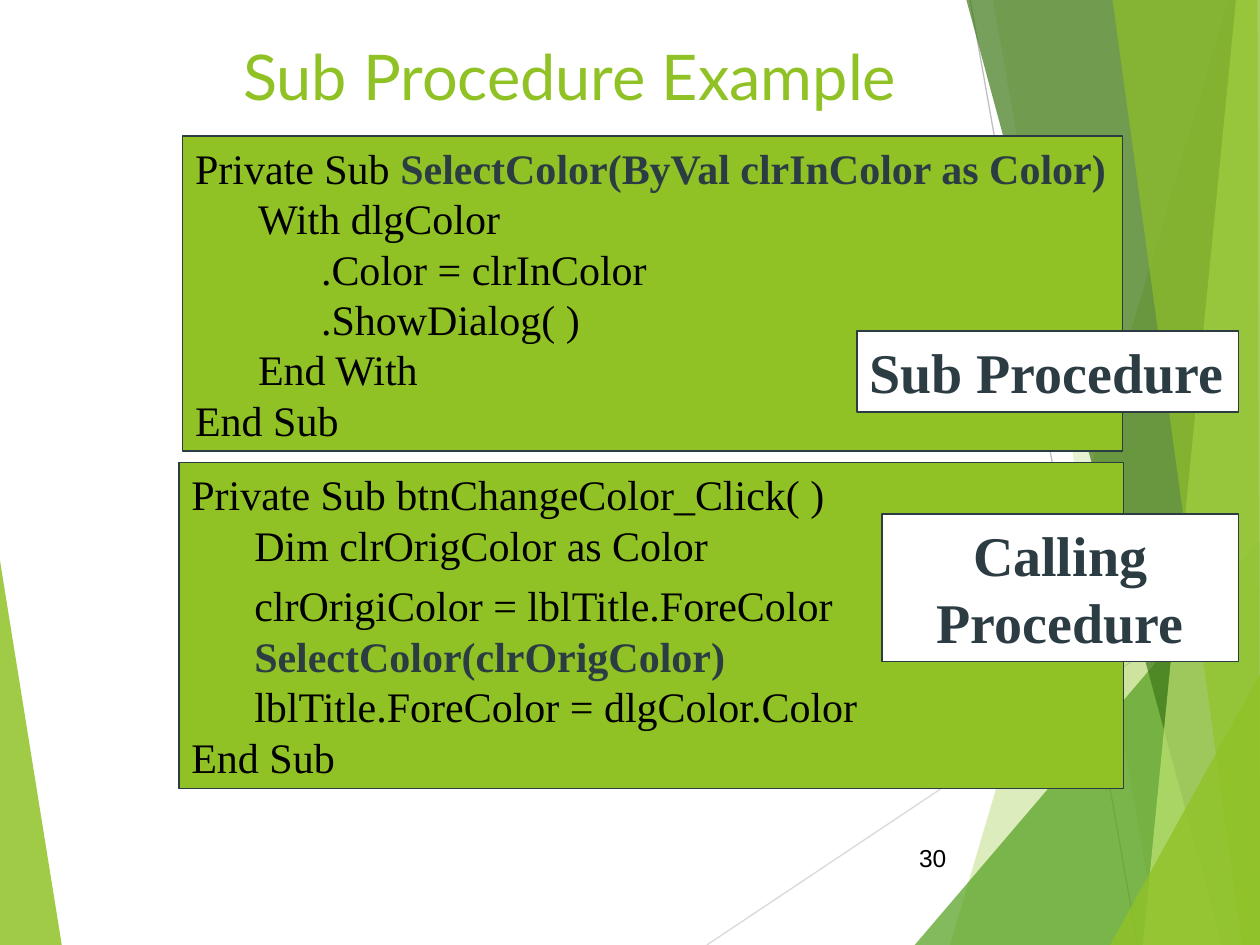
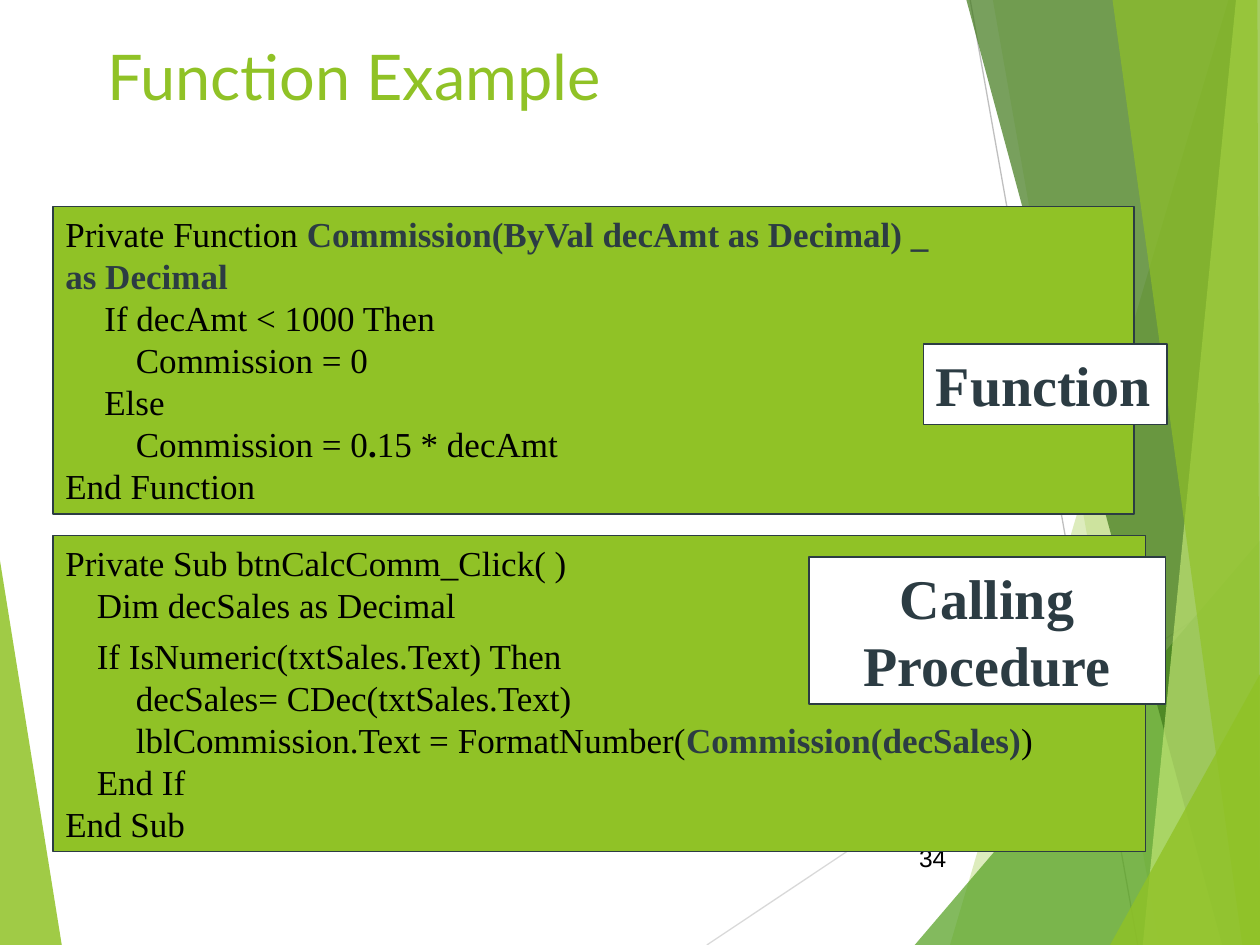
from lxml.etree import SubElement
from pptx import Presentation
from pptx.dml.color import RGBColor
from pptx.enum.shapes import MSO_CONNECTOR, MSO_SHAPE
from pptx.enum.text import MSO_ANCHOR, MSO_AUTO_SIZE, PP_ALIGN
from pptx.oxml.ns import qn
from pptx.util import Inches, Pt

GREEN, DARK, BLACK, WHITE = "90C226", "2C3C43", "000000", "FFFFFF"
TITLE_FONT, CODE_FONT, NUMBER_FONT = "Lato", "Times New Roman", "Arial"
SLIDE_WIDTH, SLIDE_HEIGHT = 10, 7.5
CALLING_SIZE = (2.83, 1.17)

# Background lines: start, end, colour
GUIDE_LINES = [
    ((5.61, 7.5), (10, 4.57), "D9D9D9"),
    ((7.7, 0), (9.03, 7.5), "BFBFBF"),
]
# Background facets: outline, colour, opacity in percent
LEFT_FACET = ([(0, 4.45), (0.49, 7.5), (0, 7.5)], GREEN, 85)
RIGHT_FACETS = [
    ([(9.75, 0), (7.54, 7.5), (10, 7.5), (10, 0)], GREEN, 30),
    ([(7.88, 0), (9.2, 7.5), (10, 7.5), (10, 0)], GREEN, 20),
    ([(7.26, 7.5), (10, 4.29), (10, 7.5)], "54A021", 72),
    ([(7.67, 0), (9.7, 7.5), (10, 7.5), (10, 0)], "3F7819", 70),
    ([(9.81, 0), (9.07, 7.5), (10, 7.5), (10, 0)], "C0E474", 70),
    ([(8.83, 0), (9.86, 7.5), (10, 7.5), (9.98, 0)], GREEN, 65),
    ([(8.81, 7.5), (10, 5.35), (10, 7.5)], GREEN, 80),
]


def colour(hex_value):
    return RGBColor.from_string(hex_value)


def inches(values):
    return [Inches(value) for value in values]


def set_tabs(paragraph, stops):
    tab_list = SubElement(paragraph._p.get_or_add_pPr(), qn("a:tabLst"))
    for stop in stops:
        SubElement(tab_list, qn("a:tab"), pos=str(Inches(stop)), algn="l")


def write_text(shape, lines, font, size, color=BLACK, bold=False, align=PP_ALIGN.LEFT,
               anchor=MSO_ANCHOR.TOP, wrap=True, fit=MSO_AUTO_SIZE.NONE, tabs=(), gaps=None):
    """Fill a shape; a line is a string or a list of strings and bold (text, colour) pairs.

    gaps maps a line index to the points of space after it.
    """
    frame = shape.text_frame
    frame.word_wrap, frame.auto_size, frame.vertical_anchor = wrap, fit, anchor
    for index, line in enumerate(lines):
        paragraph = frame.paragraphs[0] if index == 0 else frame.add_paragraph()
        paragraph.alignment = align
        if gaps and index in gaps:
            paragraph.space_after = Pt(gaps[index])
        if tabs:
            set_tabs(paragraph, tabs)
        for part in [line] if isinstance(line, str) else line:
            text, run_color, run_bold = (part, color, bold) if isinstance(part, str) else (*part, True)
            run = paragraph.add_run()
            run.text = text
            run.font.name, run.font.size, run.font.bold = font, Pt(size), run_bold
            run.font.color.rgb = colour(run_color)


def add_facet(slide, points, fill, opacity):
    corners = [inches(point) for point in points]
    builder = slide.shapes.build_freeform(*corners[0], scale=1.0)
    builder.add_line_segments(corners[1:], close=True)
    facet = builder.convert_to_shape()
    facet.shadow.inherit = False
    facet.fill.solid()
    facet.fill.fore_color.rgb = colour(fill)
    facet.line.fill.background()
    fill_color = facet.element.spPr.find(qn("a:solidFill"))[0]
    SubElement(fill_color, qn("a:alpha"), val=str(opacity * 1000))
    return facet


def add_guide_line(slide, start, end, color):
    line = slide.shapes.add_connector(MSO_CONNECTOR.STRAIGHT, *inches(start + end))
    line.line.color.rgb = colour(color)
    line.line.width = Pt(0.75)
    SubElement(line.element.spPr, qn("a:effectLst"))
    return line


def add_background(slide):
    """Draw the facets and move them to the layout that the slides share."""
    parts = [add_facet(slide, *LEFT_FACET)]
    parts += [add_guide_line(slide, *guide) for guide in GUIDE_LINES]
    parts += [add_facet(slide, *facet) for facet in RIGHT_FACETS]
    for number, part in enumerate(parts, start=100):
        part.element.xpath(".//p:cNvPr")[0].set("id", str(number))
        slide.slide_layout.shapes.element.append(part.element)


def add_title(slide, text, box):
    title = slide.shapes.title
    title.left, title.top, title.width, title.height = inches(box)
    write_text(title, [text], TITLE_FONT, 36, color=GREEN)


def add_page_number(slide, number):
    box = slide.shapes.add_textbox(*inches((7.05, 6.61, 0.56, 0.4)))
    write_text(box, [str(number)], NUMBER_FONT, 14, align=PP_ALIGN.RIGHT, anchor=MSO_ANCHOR.MIDDLE)


def add_panel(slide, box, fill, line_width):
    panel = slide.shapes.add_shape(MSO_SHAPE.RECTANGLE, *inches(box))
    panel.shadow.inherit = False
    panel.fill.solid()
    panel.fill.fore_color.rgb = colour(fill)
    panel.line.color.rgb = colour(DARK)
    panel.line.width = Pt(line_width)
    return panel


def add_code(slide, box, lines, size, tabs, wrap=True, gaps=None):
    write_text(add_panel(slide, box, GREEN, 0.75), lines, CODE_FONT, size, wrap=wrap,
               fit=MSO_AUTO_SIZE.SHAPE_TO_FIT_TEXT, tabs=tabs, gaps=gaps)


def add_label(slide, box, lines, **text_format):
    write_text(add_panel(slide, box, WHITE, 1), lines, CODE_FONT, 32, color=DARK, bold=True,
               fit=MSO_AUTO_SIZE.SHAPE_TO_FIT_TEXT, **text_format)


def add_calling_label(slide, left, top):
    add_label(slide, (left, top, *CALLING_SIZE), ["Calling", "Procedure"], align=PP_ALIGN.CENTER)


def build_sub_procedure_slide(slide):
    add_title(slide, "Sub Procedure Example", (1.83, 0.25, 7.67, 0.75))
    add_page_number(slide, 30)
    tabs = (0.5, 1)
    add_code(slide, (1.45, 1.08, 7.46, 2.5), [
        ["Private Sub ", ("SelectColor(ByVal clrInColor as Color)", DARK)],
        "\tWith dlgColor",
        "\t\t.Color = clrInColor",
        "\t\t.ShowDialog( )",
        "\tEnd With",
        "End Sub",
    ], 24, tabs, wrap=False)
    add_code(slide, (1.42, 3.67, 7.5, 2.59), [
        "Private Sub btnChangeColor_Click( )",
        "\tDim clrOrigColor as Color",
        "\tclrOrigiColor = lblTitle.ForeColor",
        ["\t", ("SelectColor(clrOrigColor)", DARK)],
        "\tlblTitle.ForeColor = dlgColor.Color",
        "End Sub",
    ], 24, tabs, gaps={1: 6})
    add_label(slide, (6.8, 2.63, 3.03, 0.64), ["Sub Procedure"], wrap=False)
    add_calling_label(slide, 7, 4.08)


def build_function_slide(slide):
    add_title(slide, "Function Example", (0.75, 0.25, 7.58, 1.17))
    add_page_number(slide, 34)
    add_code(slide, (0.42, 1.64, 8.58, 2.44), [
        ["Private Function ", ("Commission(ByVal decAmt as Decimal) _", DARK)],
        [("as Decimal", DARK)],
        "\tIf decAmt < 1000 Then",
        "\t\tCommission = 0",
        "\tElse",
        ["\t\tCommission = 0", (".", BLACK), "15 * decAmt"],
        "End Function",
    ], 20, (0.31, 0.56))
    add_code(slide, (0.42, 4.25, 8.67, 2.51), [
        "Private Sub btnCalcComm_Click( )",
        "\tDim decSales as Decimal",
        "\tIf IsNumeric(txtSales.Text) Then",
        "\t\tdecSales= CDec(txtSales.Text)",
        ["\t\tlblCommission.Text = FormatNumber(", ("Commission(decSales)", DARK), ")"],
        "\tEnd If",
        "End Sub",
    ], 20, (0.25, 0.56), gaps={1: 5})
    add_label(slide, (7.33, 2.73, 1.93, 0.64), ["Function"], wrap=False)
    add_calling_label(slide, 6.42, 4.42)


def main():
    presentation = Presentation()
    presentation.slide_width, presentation.slide_height = inches((SLIDE_WIDTH, SLIDE_HEIGHT))
    title_only = presentation.slide_layouts.get_by_name("Title Only")
    sub_procedure_slide, function_slide = [presentation.slides.add_slide(title_only) for _ in range(2)]
    add_background(sub_procedure_slide)
    build_sub_procedure_slide(sub_procedure_slide)
    build_function_slide(function_slide)
    presentation.save("out.pptx")


if __name__ == "__main__":
    main()
